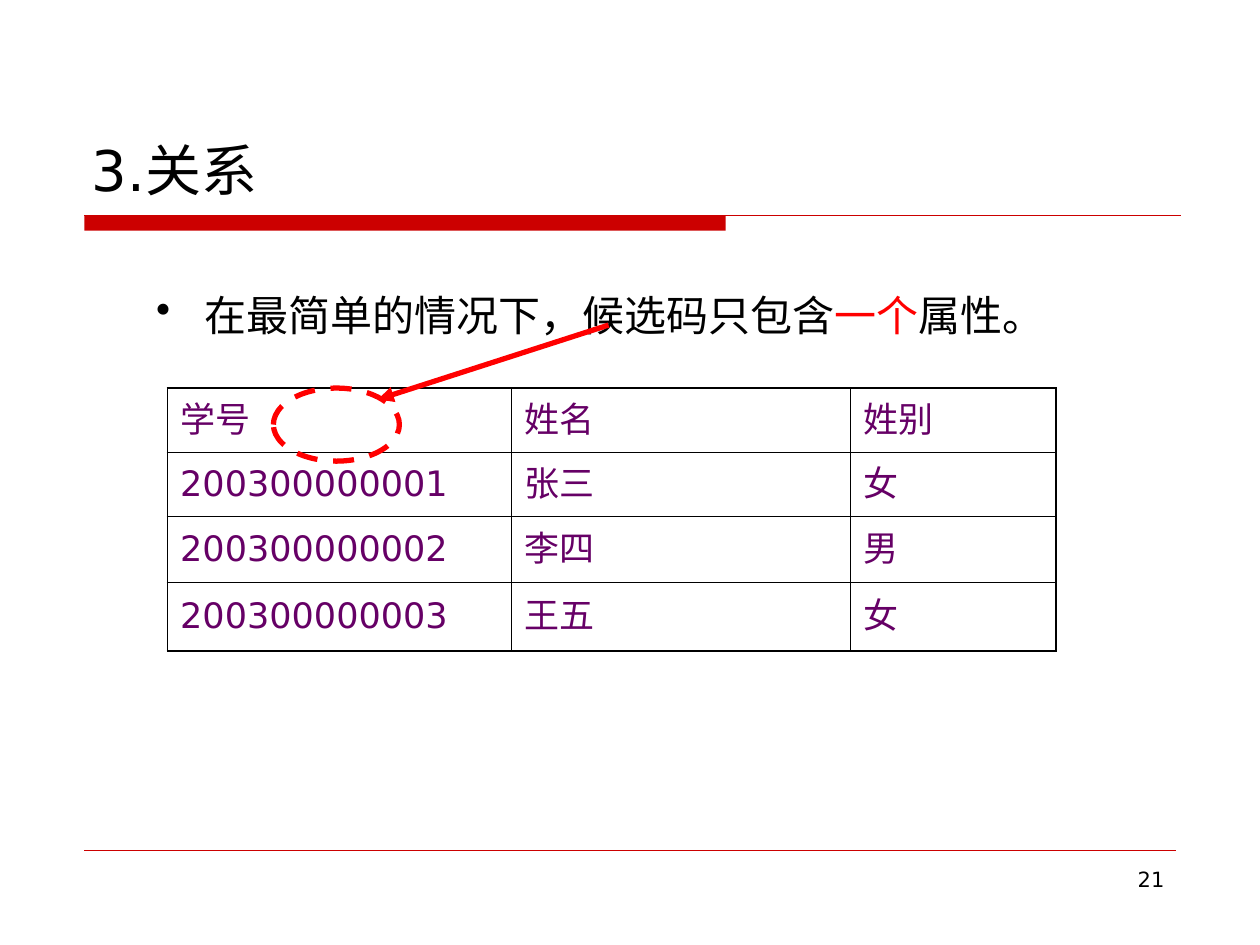
import dataclasses

import pptx
import pptx.dml.color
import pptx.enum.dml
import pptx.enum.shapes
import pptx.enum.text
import pptx.oxml
import pptx.oxml.ns
import pptx.util

Inches = pptx.util.Inches
Pt = pptx.util.Pt
Align = pptx.enum.text.PP_ALIGN
Anchor = pptx.enum.text.MSO_ANCHOR
Shape = pptx.enum.shapes.MSO_SHAPE

FONT = "DejaVu Sans"
BLACK, RED, CRIMSON, PURPLE = "000000", "FF0000", "CC0000", "660066"
THIN, THICK = 0.45, 1.08
COLS = [2.73, 2.69, 1.63]
ROWS = [0.51, 0.51, 0.52, 0.55]
DATA = [
    ["学号", "姓名", "姓别"],
    ["200300000001", "张三", "女"],
    ["200300000002", "李四", "男"],
    ["200300000003", "王五", "女"],
]


@dataclasses.dataclass
class Run:
    text: str
    size: float
    color: str = BLACK


@dataclasses.dataclass
class Line:
    start: tuple[float, float]
    end: tuple[float, float]
    color: str
    width: float
    arrow: bool = False


def rgb(color: str):
    return pptx.dml.color.RGBColor.from_string(color)


def node(tag: str, **attrs: str):
    item = pptx.oxml.parse_xml(f"<a:{tag} {pptx.oxml.ns.nsdecls('a')}/>")
    for key, value in attrs.items():
        item.set(key, value)
    return item


def write(para, runs: list[Run]) -> None:
    for part in runs:
        run = para.add_run()
        run.text = part.text
        run.font.name = FONT
        run.font.size = Pt(part.size)
        run.font.color.rgb = rgb(part.color)
        latin = run.font._element.find(pptx.oxml.ns.qn("a:latin"))
        latin.addnext(node("ea", typeface=FONT))


def place(shape, left: float, top: float, width: float, height: float) -> None:
    shape.left, shape.top = Inches(left), Inches(top)
    shape.width, shape.height = Inches(width), Inches(height)


def add_text(slide, box: tuple, runs: list[Run], align=Align.LEFT):
    frame = slide.shapes.add_textbox(*map(Inches, box)).text_frame
    frame.word_wrap = True
    para = frame.paragraphs[0]
    para.alignment = align
    write(para, runs)
    return para


def add_line(slide, spec_line: Line) -> None:
    kind = pptx.enum.shapes.MSO_CONNECTOR.STRAIGHT
    ends = map(Inches, spec_line.start + spec_line.end)
    link = slide.shapes.add_connector(kind, *ends)
    link.line.color.rgb = rgb(spec_line.color)
    link.line.width = Pt(spec_line.width)
    if spec_line.arrow:
        link.line._get_or_add_ln().append(node("tailEnd", type="triangle"))
    link._element.spPr.append(node("effectLst"))


def add_edge(cell, tag: str, width: float) -> None:
    edge = node(tag, w=str(Pt(width)))
    fill = node("solidFill")
    fill.append(node("srgbClr", val=BLACK))
    edge.append(fill)
    cell._tc.get_or_add_tcPr().append(edge)


def add_grid(slide) -> None:
    """Draw the student table with a thick frame and thin inner rules."""
    size = (1.33, 3.08, sum(COLS), sum(ROWS))
    grid = slide.shapes.add_table(len(ROWS), len(COLS), *map(Inches, size)).table
    grid.first_row = grid.horz_banding = False
    for col, width in zip(grid.columns, COLS):
        col.width = Inches(width)
    for row, height in zip(grid.rows, ROWS):
        row.height = Inches(height)
    for r, texts in enumerate(DATA):
        for c, text in enumerate(texts):
            cell = grid.cell(r, c)
            outer = {
                "lnL": c == 0,
                "lnR": c == len(COLS) - 1,
                "lnT": r == 0,
                "lnB": r == len(ROWS) - 1,
            }
            for tag, thick in outer.items():
                add_edge(cell, tag, THICK if thick else THIN)
            cell.fill.background()
            cell.vertical_anchor = Anchor.MIDDLE
            write(cell.text_frame.paragraphs[0], [Run(text, 20, PURPLE)])


def add_title(slide) -> None:
    title = slide.shapes.title
    place(title, 0.63, 0.33, 8.75, 1.33)
    frame = title.text_frame
    frame.vertical_anchor = Anchor.BOTTOM
    frame.auto_size = pptx.enum.text.MSO_AUTO_SIZE.NONE
    frame.paragraphs[0].alignment = Align.LEFT
    write(frame.paragraphs[0], [Run("3.关系", 32)])


def add_bar(slide) -> None:
    bar = slide.shapes.add_shape(
        Shape.RECTANGLE, *map(Inches, (0.67, 1.71, 5.09, 0.12)))
    bar.shadow.inherit = False
    bar.fill.solid()
    bar.fill.fore_color.rgb = rgb(CRIMSON)
    bar.line.fill.background()


def add_point(slide) -> None:
    runs = [
        Run(" 在最简单的情况下，候选码只包含", 24),
        Run("一个", 24, RED),
        Run("属性。", 24),
    ]
    para = add_text(slide, (0.92, 2.25, 7.92, 0.5), runs)
    props = para._p.get_or_add_pPr()
    props.set("marL", str(Inches(0.5)))
    props.set("indent", str(Inches(-0.28)))
    props.append(node("buChar", char="•"))


def add_ring(slide) -> None:
    ring = slide.shapes.add_shape(
        Shape.OVAL, *map(Inches, (2.17, 3.08, 1, 0.58)))
    ring.shadow.inherit = False
    ring.fill.background()
    ring.line.color.rgb = rgb(RED)
    ring.line.width = Pt(3)
    ring.line.dash_style = pptx.enum.dml.MSO_LINE.DASH


def main() -> None:
    deck = pptx.Presentation()
    deck.slide_width, deck.slide_height = Inches(10), Inches(7.5)
    slide = deck.slides.add_slide(deck.slide_layouts[5])
    add_bar(slide)
    add_line(slide, Line((0.67, 1.71), (9.37, 1.71), CRIMSON, 0.75))
    add_line(slide, Line((0.67, 6.75), (9.33, 6.75), CRIMSON, 0.25))
    add_text(slide, (7.17, 6.83, 2.17, 0.52), [Run("21", 12)], Align.RIGHT)
    add_grid(slide)
    add_point(slide)
    add_ring(slide)
    add_line(slide, Line((4.83, 2.58), (3, 3.17), RED, 3, arrow=True))
    add_title(slide)
    deck.save("out.pptx")


if __name__ == "__main__":
    main()
